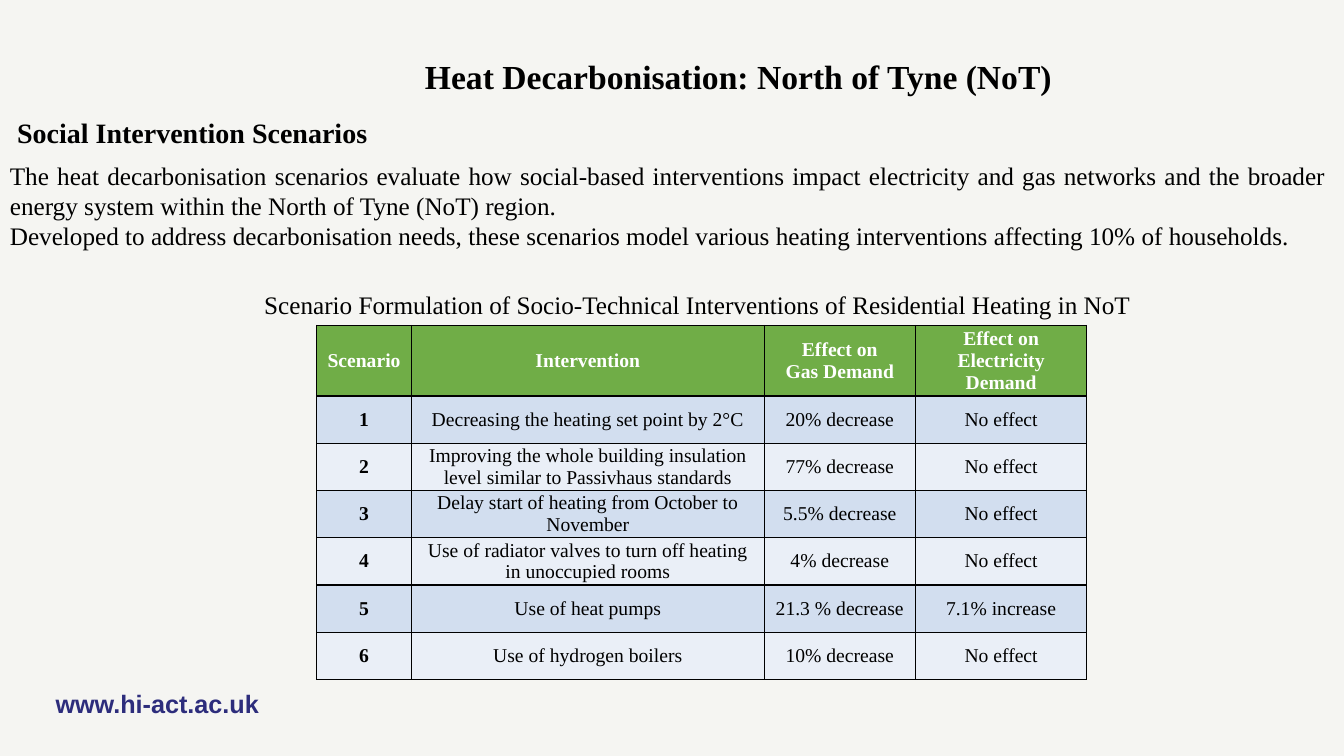
from dataclasses import dataclass
from lxml import etree
from pptx import Presentation
from pptx import util as u
from pptx.dml.color import RGBColor
from pptx.enum import text as t
from pptx.oxml.ns import qn

HUES = {"back": "F5F5F2", "ink": "000000", "white": "FFFFFF", "link": "2D2D7C",
        "head": "70AD47", "odd": "D2DEEF", "even": "EAEFF7"}
SERIF = "Times New Roman"
LEFT, MID, JUST = t.PP_ALIGN.LEFT, t.PP_ALIGN.CENTER, t.PP_ALIGN.JUSTIFY


@dataclass
class Label:
    box: tuple[float, float, float, float]
    lines: list[str]
    size: int = 18
    bold: bool = False
    hue: str = "ink"
    font: str = SERIF
    align: t.PP_ALIGN = LEFT
    wrap: bool = True
    pad: tuple[float, float] = (0.25, 0.13)


TITLE = Label((10.46, 1.27, 16.46, 1.27), ["Heat Decarbonisation: North of Tyne (NoT)"],
              size=24, bold=True, wrap=False)
LABELS = [
    Label((1.4, 17.35, 16.94, 0.76), ["www.hi-act.ac.uk"], bold=True, hue="link",
          font="Arial", pad=(0, 0)),
    Label((0.18, 2.79, 9.4, 1.12), ["Social Intervention Scenarios"],
          size=20, bold=True, wrap=False),
    Label((0, 3.91, 33.68, 2.57), [
        "The heat decarbonisation scenarios evaluate how social-based interventions impact "
        "electricity and gas networks and the broader energy system within the North of Tyne "
        "(NoT) region.",
        "Developed to address decarbonisation needs, these scenarios model various heating "
        "interventions affecting 10% of households."], align=JUST),
    Label((6.25, 7.16, 22.66, 1.02), [
        "Scenario Formulation of Socio-Technical Interventions of Residential Heating in NoT"],
        align=MID),
]

HEADS = ["Scenario", "Intervention", "Effect on\nGas Demand", "Effect on Electricity Demand"]
ROWS = [
    ("Decreasing the heating set point by 2°C", "20% decrease", "No effect"),
    ("Improving the whole building insulation level similar to Passivhaus standards",
     "77% decrease", "No effect"),
    ("Delay start of heating from October to November", "5.5% decrease", "No effect"),
    ("Use of radiator valves to turn off heating in unoccupied rooms",
     "4% decrease", "No effect"),
    ("Use of heat pumps", "21.3 % decrease", "7.1% increase"),
    ("Use of hydrogen boilers", "10% decrease", "No effect"),
]
WIDTHS = [2.39, 8.89, 3.81, 4.32]
TOP_ROW, ROW = 1.78, 1.19


def color(name: str) -> RGBColor:
    return RGBColor.from_string(HUES[name])


def write(frame, lines: list[str], size: int, bold: bool, hue: str,
          font: str, align: t.PP_ALIGN) -> None:
    for i, line in enumerate(lines):
        para = frame.add_paragraph() if i else frame.paragraphs[0]
        para.alignment = align
        para.line_spacing = 1.0
        para.space_before = para.space_after = u.Pt(0)
        run = para.add_run()
        run.text = line
        run.font.name, run.font.size, run.font.bold = font, u.Pt(size), bold
        run.font.color.rgb = color(hue)


def place(shape, label: Label) -> None:
    shape.left, shape.top, shape.width, shape.height = map(u.Cm, label.box)
    frame = shape.text_frame
    frame.word_wrap = label.wrap
    frame.auto_size = t.MSO_AUTO_SIZE.NONE
    frame.vertical_anchor = t.MSO_ANCHOR.TOP
    frame.margin_left = frame.margin_right = u.Cm(label.pad[0])
    frame.margin_top = frame.margin_bottom = u.Cm(label.pad[1])
    write(frame, label.lines, label.size, label.bold, label.hue, label.font, label.align)


def border(cell) -> None:
    # Edges must come before the fill in the cell properties
    props = cell._tc.get_or_add_tcPr()
    for i, side in enumerate(("lnL", "lnR", "lnT", "lnB")):
        edge = etree.Element(qn(f"a:{side}"), w=str(u.Pt(1)))
        fill = etree.SubElement(edge, qn("a:solidFill"))
        etree.SubElement(fill, qn("a:srgbClr"), val=HUES["ink"])
        props.insert(i, edge)


def fill_cell(cell, words: str, bold: bool, hue: str, back: str) -> None:
    cell.fill.solid()
    cell.fill.fore_color.rgb = color(back)
    cell.vertical_anchor = t.MSO_ANCHOR.MIDDLE
    cell.margin_left = cell.margin_right = u.Cm(0.18)
    cell.margin_top = cell.margin_bottom = 0
    write(cell.text_frame, words.split("\n"), 14, bold, hue, SERIF, MID)
    border(cell)


def add_grid(slide) -> None:
    high = TOP_ROW + ROW * len(ROWS)
    grid = slide.shapes.add_table(len(ROWS) + 1, len(HEADS), u.Cm(7.98), u.Cm(8.2),
                                  u.Cm(sum(WIDTHS)), u.Cm(high)).table
    for col, width in zip(grid.columns, WIDTHS):
        col.width = u.Cm(width)
    for i, row in enumerate(grid.rows):
        row.height = u.Cm(ROW if i else TOP_ROW)
    for j, head in enumerate(HEADS):
        fill_cell(grid.cell(0, j), head, True, "white", "head")
    for i, row in enumerate(ROWS, 1):
        for j, words in enumerate((str(i), *row)):
            fill_cell(grid.cell(i, j), words, j == 0, "ink", "odd" if i % 2 else "even")


def main() -> None:
    deck = Presentation()
    deck.slide_width, deck.slide_height = u.Cm(33.87), u.Cm(19.05)
    slide = deck.slides.add_slide(deck.slide_layouts[5])
    slide.background.fill.solid()
    slide.background.fill.fore_color.rgb = color("back")

    # Title, text blocks and scenario table
    place(slide.shapes.title, TITLE)
    for label in LABELS:
        place(slide.shapes.add_textbox(0, 0, 0, 0), label)
    add_grid(slide)
    deck.save("out.pptx")


if __name__ == "__main__":
    main()
